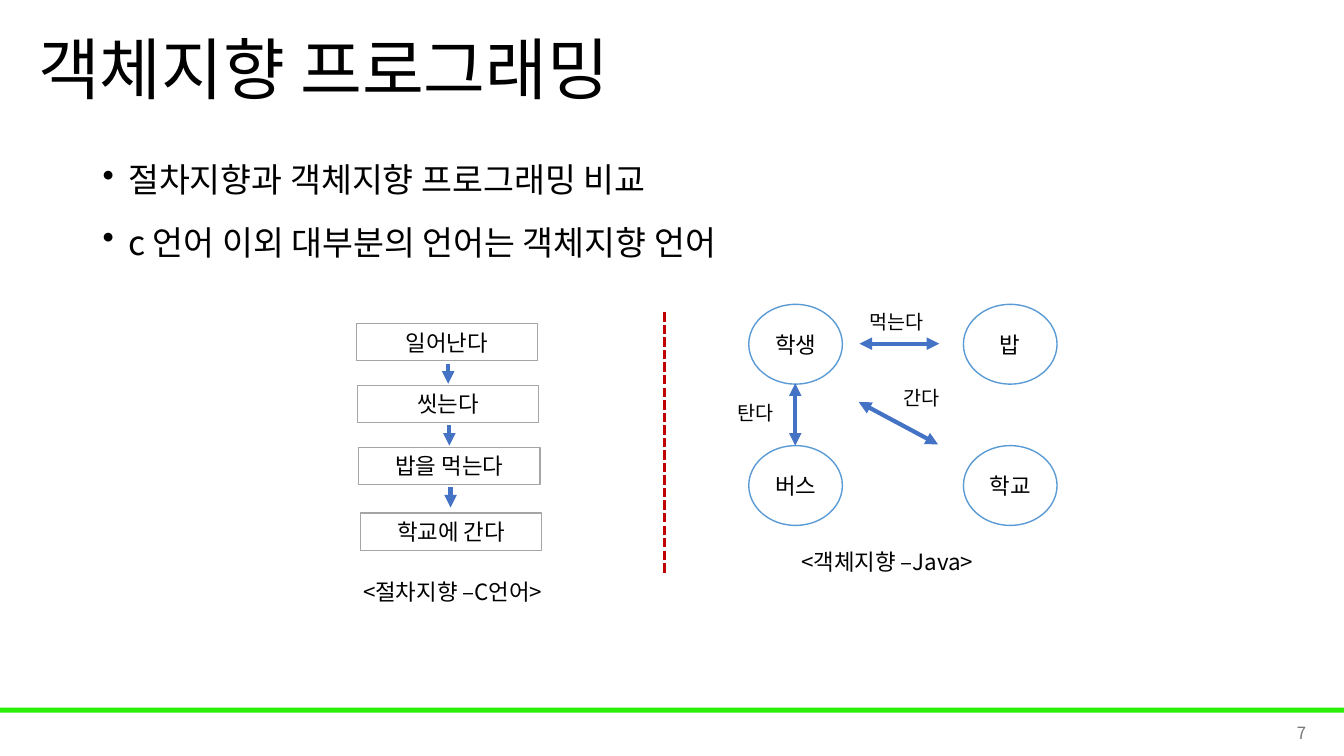
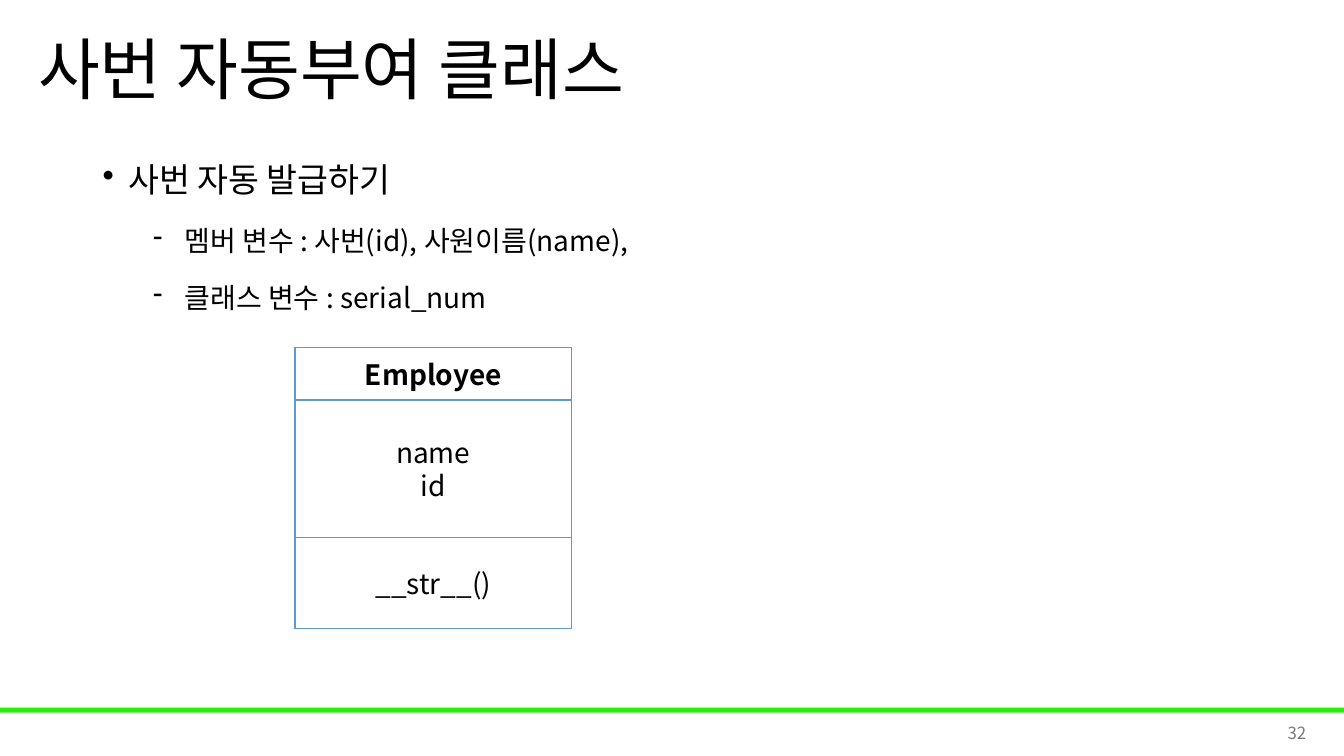
from lxml.etree import SubElement
from pptx import Presentation
from pptx.dml.color import RGBColor
from pptx.enum.dml import MSO_LINE
from pptx.enum.shapes import MSO_CONNECTOR, MSO_SHAPE
from pptx.enum.text import MSO_ANCHOR as Anchor, PP_ALIGN as Align
from pptx.oxml.ns import qn
from pptx.util import Cm, Pt

FONT = "Noto Sans CJK KR"
BLACK = RGBColor(0x00, 0x00, 0x00)
WHITE = RGBColor(0xFF, 0xFF, 0xFF)
GREEN = RGBColor(0x2A, 0xEF, 0x06)
GRAY = RGBColor(0x79, 0x79, 0x79)
SILVER = RGBColor(0xA5, 0xA5, 0xA5)
SKY = RGBColor(0x5B, 0x9B, 0xD5)
BLUE = RGBColor(0x44, 0x72, 0xC4)
RED = RGBColor(0xC0, 0x00, 0x00)

SLIDE_WIDTH, SLIDE_HEIGHT = 33.87, 19.05

# Bullet levels: mark, size, indent, hang, line spacing, space before
LEVELS = (("•", 24, 0.64, 0.64, 1.2, 10), ("-", 20, 2.06, 0.79, 1.5, 5))


def write(para, text, size=16, color=BLACK, bold=False, align=Align.CENTER):
    """Add one formatted run to a paragraph."""
    para.alignment = align
    span = para.add_run()
    span.text = text
    span.font.size = Pt(size)
    span.font.bold = bold
    span.font.color.rgb = color
    span.font.name = FONT
    SubElement(span.font._element, qn("a:ea"), typeface=FONT)


def fill_frame(shape, text, anchor=Anchor.MIDDLE, **style):
    """Write each line of text as a paragraph of the shape."""
    frame = shape.text_frame
    frame.word_wrap = True
    frame.vertical_anchor = anchor
    for number, line in enumerate(text.split("\n")):
        para = frame.add_paragraph() if number else frame.paragraphs[0]
        write(para, line, **style)


def add_text(page, box, text, **style):
    shape = page.shapes.add_textbox(*map(Cm, box))
    fill_frame(shape, text, **style)


def add_box(page, box, text="", kind=MSO_SHAPE.RECTANGLE, fill=WHITE,
            line=None, **style):
    shape = page.shapes.add_shape(kind, *map(Cm, box))
    shape.shadow.inherit = False
    shape.fill.solid()
    shape.fill.fore_color.rgb = fill
    if line is None:
        shape.line.fill.background()
    else:
        shape.line.color.rgb = line
        shape.line.width = Pt(1)
    if text:
        fill_frame(shape, text, **style)


def add_line(page, start, end, color=BLUE, width=3, dash=None, ends=()):
    line = page.shapes.add_connector(MSO_CONNECTOR.STRAIGHT,
                                     *map(Cm, (*start, *end)))
    line.line.color.rgb = color
    line.line.width = Pt(width)
    if dash is not None:
        line.line.dash_style = dash
    outline = line.line._get_or_add_ln()
    for end_tag in ends:
        SubElement(outline, qn(end_tag), type="triangle")
    SubElement(line._element.spPr, qn("a:effectLst"))


def add_bullets(page, box, items):
    """Place (level, text) items as a bulleted list."""
    frame = page.shapes.add_textbox(*map(Cm, box)).text_frame
    frame.word_wrap = True
    for number, (level, text) in enumerate(items):
        para = frame.add_paragraph() if number else frame.paragraphs[0]
        mark, size, indent, hang, spacing, before = LEVELS[level]
        props = para._p.get_or_add_pPr()
        props.set("marL", str(Cm(indent)))
        props.set("indent", str(-Cm(hang)))
        SubElement(props, qn("a:buChar"), char=mark)
        para.line_spacing = spacing
        if number:
            para.space_before = Pt(before)
        write(para, text, size=size, align=Align.LEFT)


def add_page(deck, title, number, items):
    """Blank page with title, bullets, footer band and page number."""
    page = deck.slides.add_slide(deck.slide_layouts[6])
    add_box(page, (0, 17.83, SLIDE_WIDTH, 0.13), fill=GREEN)
    add_text(page, (0.71, 0, 29.21, 3.68), title, size=48, align=Align.LEFT)
    page.shapes[-1].text_frame.paragraphs[0].line_spacing = 0.9
    add_bullets(page, (2.34, 3.68, 29.21, 13.49), items)
    add_text(page, (25.55, 17.96, 7.62, 1.02), str(number), size=12,
             color=GRAY, align=Align.RIGHT)
    return page


def add_procedure(page, left, top):
    """Steps from top to bottom, joined by arrows."""
    width, height = 4.57, 0.94
    steps = (("일어난다", 0, 0), ("씻는다", 0.03, 1.56),
             ("밥을 먹는다", 0.06, 3.12), ("학교에 간다", 0.1, 4.78))
    for number, (text, right, down) in enumerate(steps):
        x, y = left + right, top + down
        add_box(page, (x, y, width, height), text, line=SILVER)
        if number < len(steps) - 1:
            middle, start = x + width / 2 + 0.03, y + height + 0.07
            add_line(page, (middle, start), (middle, start + 0.51),
                     ends=("a:tailEnd",))
    add_text(page, (left - 0.08, top + 6.28, 5.79, 0.94),
             "<절차지향 –C언어>", align=Align.LEFT)


def add_objects(page, left, top):
    """Two by two objects, with labelled two-way arrows."""
    names = (("학생", "밥"), ("버스", "학교"))
    for row, pair in enumerate(names):
        for column, name in enumerate(pair):
            add_box(page, (left + 0.61 + column * 5.41, top + row * 3.56,
                           2.36, 2.01), name, kind=MSO_SHAPE.OVAL, line=SKY)
    # Arrow start and end, then label text, place and width
    relations = (((3.4, 0.99), (5.41, 0.99), "먹는다", 3.33, 0, 2.01),
                 ((1.78, 1.99), (1.78, 3.56), "탄다", 0, 2.29, 1.57),
                 ((3.38, 2.46), (5.38, 3.53), "간다", 4.22, 1.91, 1.5))
    for start, end, text, right, down, width in relations:
        add_box(page, (left + right, top + down, width, 0.86), text, size=14)
        add_line(page, (left + start[0], top + start[1]),
                 (left + end[0], top + end[1]),
                 ends=("a:headEnd", "a:tailEnd"))
    add_text(page, (left + 1.68, top + 6.02, 5.79, 0.94),
             "<객체지향 –Java>", align=Align.LEFT)


def add_class_diagram(page, left, top, width):
    """Stacked compartments: class name, members, methods."""
    parts = (("Employee", 1.32, True), ("name\nid", 3.47, False),
             ("__str__()", 2.29, False))
    for text, height, bold in parts:
        add_box(page, (left, top, width, height), text, line=SKY, size=20,
                bold=bold)
        top += height


def main():
    deck = Presentation()
    deck.slide_width, deck.slide_height = Cm(SLIDE_WIDTH), Cm(SLIDE_HEIGHT)

    # Procedural and object-oriented programming side by side
    page = add_page(deck, "객체지향 프로그래밍", 7, (
        (0, "절차지향과 객체지향 프로그래밍 비교"),
        (0, "c 언어 이외 대부분의 언어는 객체지향 언어")))
    add_procedure(page, 8.98, 8.15)
    add_line(page, (16.74, 7.87), (16.74, 14.43), color=RED, width=2.25,
             dash=MSO_LINE.SQUARE_DOT)
    add_objects(page, 18.26, 7.67)

    # Employee class
    page = add_page(deck, "사번 자동부여 클래스", 32, (
        (0, "사번 자동 발급하기"),
        (1, "멤버 변수 : 사번(id), 사원이름(name),"),
        (1, "클래스 변수 : serial_num")))
    add_class_diagram(page, 7.44, 8.76, 6.96)

    deck.save("out.pptx")


if __name__ == "__main__":
    main()
